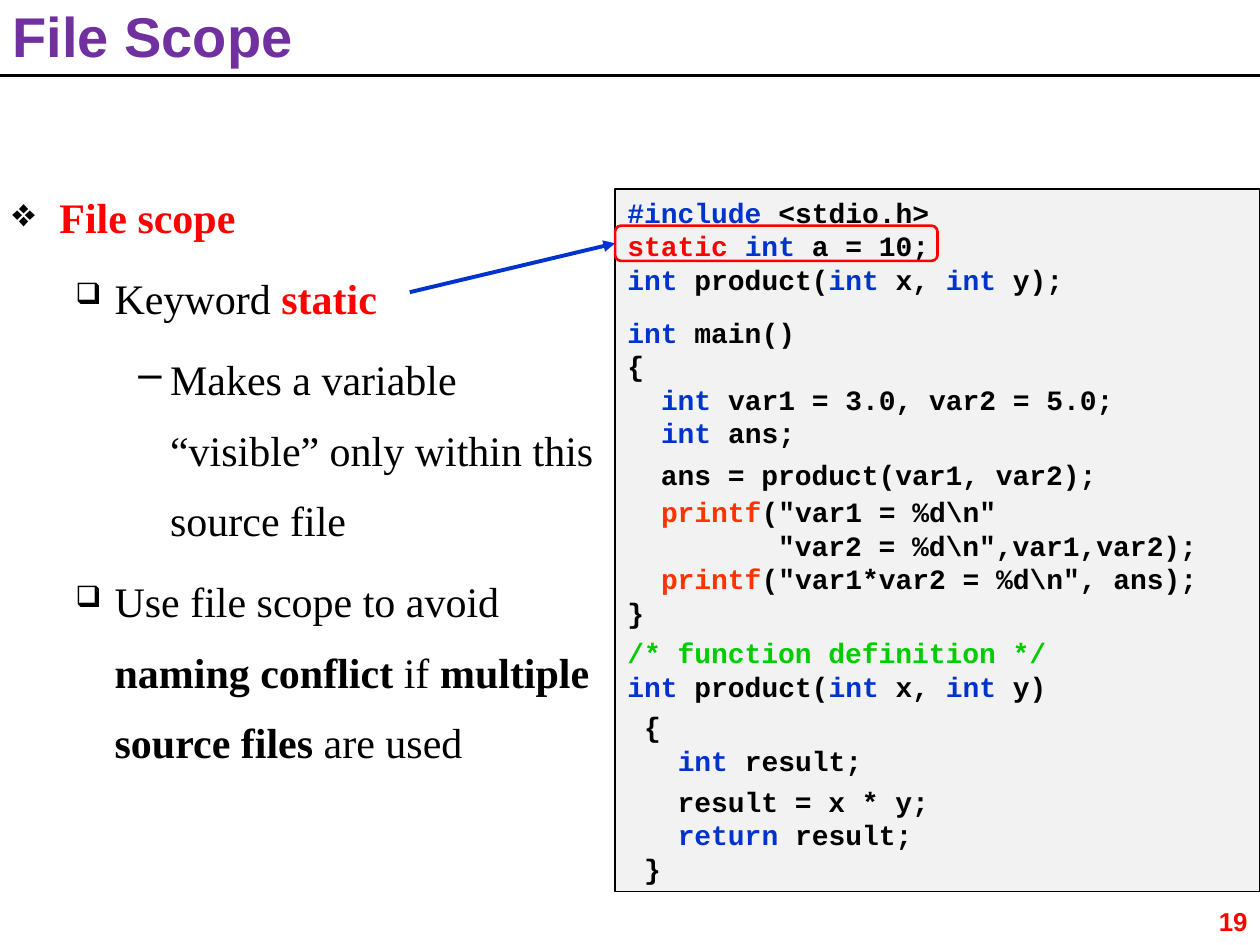
from lxml import etree
from pptx import Presentation
from pptx.dml.color import RGBColor
from pptx.enum import shapes, text
from pptx.oxml import ns
from pptx.util import Cm, Pt

PURPLE = RGBColor(0x70, 0x30, 0xA0)
RED = RGBColor(0xFF, 0x00, 0x00)
BLUE = RGBColor(0x00, 0x33, 0xCC)
ORANGE = RGBColor(0xFF, 0x33, 0x00)
GREEN = RGBColor(0x00, 0xCC, 0x00)
GREY = RGBColor(0xF2, 0xF2, 0xF2)
BLACK = RGBColor(0x00, 0x00, 0x00)

TITLE = "File Scope"
PAGE_NUMBER = "19"

# level, then runs of (text, bold, colour)
POINTS = [
    (0, [("File scope", True, RED)]),
    (1, [("Keyword ", False, BLACK), ("static", True, RED)]),
    (2, [("Makes a variable “visible” only within this source file", False, BLACK)]),
    (1, [("Use file scope to avoid ", False, BLACK), ("naming conflict ", True, BLACK),
         ("if ", False, BLACK), ("multiple source files ", True, BLACK),
         ("are used", False, BLACK)]),
]
# per level: bullet, size in percent, left margin and hanging indent in cm
BULLETS = [("❖", 95, 0.95, 0.95), ("❑", 70, 2.06, 0.79), ("–", 100, 3.18, 0.64)]

# space before in points, then the line with its coloured words between backquotes
CODE = [
    (0, "`#include` <stdio.h>"),
    (0, "`static` `int` a = 10;"),
    (0, "`int` product(`int` x, `int` y);"),
    (11, "`int` main()"),
    (0, "{"),
    (0, "  `int` var1 = 3.0, var2 = 5.0;"),
    (0, "  `int` ans;"),
    (4.7, "  ans = product(var1, var2);"),
    (2, '  `printf`("var1 = %d\\n"'),
    (0, '         "var2 = %d\\n",var1,var2);'),
    (0, '  `printf`("var1*var2 = %d\\n", ans);'),
    (0, "}"),
    (3.8, "`/* function definition */`"),
    (0, "`int` product(`int` x, `int` y)"),
    (3.8, " {"),
    (0, "   `int` result;"),
    (4.2, "   result = x * y;"),
    (0, "   `return` result;"),
    (0, " }"),
]
WORD_COLOURS = {"static": RED, "printf": ORANGE, "/* function definition */": GREEN}


def add_run(p, content, font, size, bold, colour):
    r = p.add_run()
    r.text = content
    r.font.name, r.font.size, r.font.bold = font, Pt(size), bold
    r.font.color.rgb = colour


def set_bullet(p, char, percent, margin, hanging):
    pPr = p._p.get_or_add_pPr()
    pPr.set("marL", str(Cm(margin)))
    pPr.set("indent", str(-Cm(hanging)))
    colour = etree.SubElement(pPr, ns.qn("a:buClr"))
    etree.SubElement(colour, ns.qn("a:srgbClr"), val=str(BLACK))
    etree.SubElement(pPr, ns.qn("a:buSzPct"), val=str(percent * 1000))
    etree.SubElement(pPr, ns.qn("a:buChar"), char=char)


def add_paragraphs(tf, count):
    """Give the frame count paragraphs and return them."""
    for _ in range(count - 1):
        tf.add_paragraph()
    return tf.paragraphs


def add_line(s, x1, y1, x2, y2, colour, width):
    line = s.shapes.add_connector(shapes.MSO_CONNECTOR.STRAIGHT,
                                  Cm(x1), Cm(y1), Cm(x2), Cm(y2))
    line.line.color.rgb = colour
    line.line.width = Pt(width)
    etree.SubElement(line._element.spPr, ns.qn("a:effectLst"))
    return line


def add_box(s, kind, left, top, width, height, colour, line_width):
    box = s.shapes.add_shape(kind, Cm(left), Cm(top), Cm(width), Cm(height))
    box.shadow.inherit = False
    box.line.color.rgb = colour
    box.line.width = Pt(line_width)
    return box


prs = Presentation()
prs.slide_width, prs.slide_height = Cm(25.4), Cm(19.05)
s = prs.slides.add_slide(prs.slide_layouts[5])

# Title and rule
add_line(s, 0, 1.52, 25.4, 1.52, BLACK, 1.5)
title = s.shapes.title
title.left, title.top, title.width, title.height = Cm(0), Cm(0), Cm(25.4), Cm(1.52)
tf = title.text_frame
tf.auto_size = text.MSO_AUTO_SIZE.NONE
tf.vertical_anchor = text.MSO_ANCHOR.BOTTOM
p = tf.paragraphs[0]
p.alignment = text.PP_ALIGN.LEFT
add_run(p, TITLE, "Arial", 32, True, PURPLE)

# Bulleted points
tf = s.shapes.add_textbox(Cm(0), Cm(3.33), Cm(12.4), Cm(13.06)).text_frame
tf.word_wrap = True
for p, (level, runs) in zip(add_paragraphs(tf, len(POINTS)), POINTS):
    p.level = level
    p.line_spacing = 1.4
    p.space_before = Pt(6)
    set_bullet(p, *BULLETS[level])
    for content, bold, colour in runs:
        add_run(p, content, "Times New Roman", 24, bold, colour)

# Code listing
code_box = add_box(s, shapes.MSO_SHAPE.RECTANGLE, 12.4, 3.81, 13, 14.17, BLACK, 0.75)
code_box.fill.solid()
code_box.fill.fore_color.rgb = GREY
tf = code_box.text_frame
tf.word_wrap = True
tf.vertical_anchor = text.MSO_ANCHOR.TOP
for p, (gap, line) in zip(add_paragraphs(tf, len(CODE)), CODE):
    p.alignment = text.PP_ALIGN.LEFT
    p.space_before = Pt(gap)
    for i, part in enumerate(line.split("`")):
        if part:
            colour = WORD_COLOURS.get(part, BLUE) if i % 2 else BLACK
            add_run(p, part, "Courier New", 16, True, colour)

# Highlight of the static line, with its arrow
highlight = add_box(s, shapes.MSO_SHAPE.ROUNDED_RECTANGLE, 12.4, 4.55, 6.5, 0.71, RED, 1.5)
highlight.fill.background()
arrow = add_line(s, 8.26, 5.89, 12.4, 4.9, BLUE, 2.25)
arrow.end_connect(highlight, 1)
etree.SubElement(arrow.line._get_or_add_ln(), ns.qn("a:tailEnd"), type="triangle")

# Page number
tf = s.shapes.add_textbox(Cm(23.9), Cm(18.14), Cm(1.5), Cm(0.91)).text_frame
tf.word_wrap = True
p = tf.paragraphs[0]
p.alignment = text.PP_ALIGN.RIGHT
add_run(p, PAGE_NUMBER, "Arial", 14.8, True, RED)

prs.save("out.pptx")
